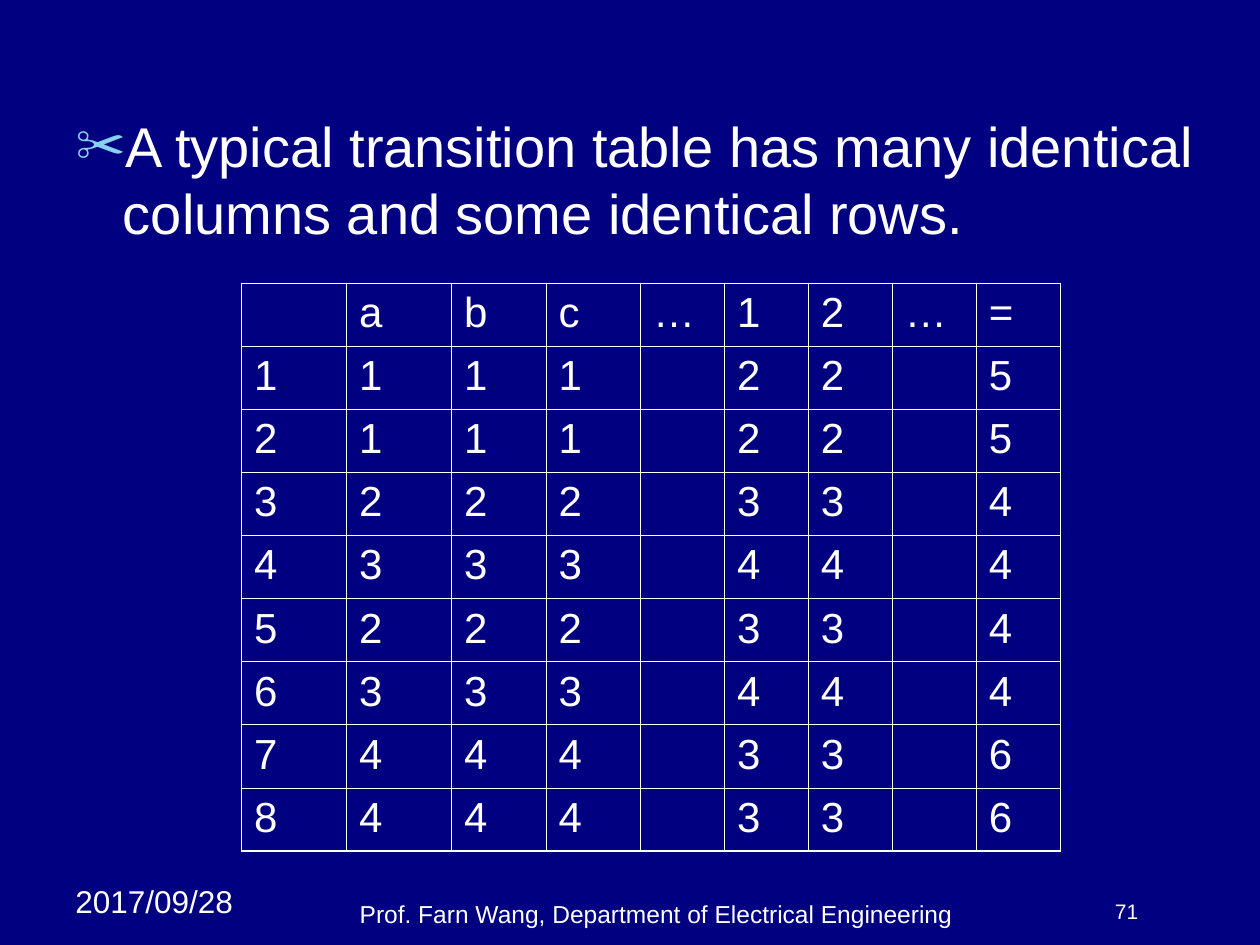
from lxml import etree
from pptx import Presentation
from pptx.dml.color import RGBColor
from pptx.enum import text as t
from pptx.oxml import ns
from pptx.util import Pt

NAVY = RGBColor(0x00, 0x00, 0x80)
WHITE = RGBColor(0xFF, 0xFF, 0xFF)
SKY = RGBColor(0x86, 0xD1, 0xEC)
FONT = "Arial"
INNER_LINE, OUTER_LINE = Pt(0.45), Pt(1.08)

COLUMN_WIDTHS = [60, 60, 54, 54] + [48] * 5
ROW_HEIGHT = 36
HEADINGS = ["", "a", "b", "c", "…", "1", "2", "…", "="]
# Next state for each state: on any letter, on any digit, on "="
TRANSITIONS = [(1, 2, 5), (1, 2, 5), (2, 3, 4), (3, 4, 4),
               (2, 3, 4), (3, 4, 4), (4, 3, 6), (4, 3, 6)]


def write(frame, content, size, align=t.PP_ALIGN.LEFT, anchor=t.MSO_ANCHOR.TOP):
    frame.word_wrap = True
    frame.vertical_anchor = anchor
    paragraph = frame.paragraphs[0]
    paragraph.alignment = align
    paragraph.space_before = Pt(0)
    run = paragraph.add_run()
    run.text = content
    run.font.size = Pt(size)
    run.font.name = FONT
    run.font.color.rgb = WHITE


def add_label(slide, content, left, top, width, height, size, **layout):
    label = slide.shapes.add_textbox(Pt(left), Pt(top), Pt(width), Pt(height))
    write(label.text_frame, content, size, **layout)


def add_xml(parent, tag, **attributes):
    return etree.SubElement(parent, ns.qn(tag), attributes)


def add_scissors_bullet(paragraph, indent):
    properties = paragraph._p.get_or_add_pPr()
    properties.set("marL", str(Pt(indent)))
    properties.set("indent", str(-Pt(indent)))
    add_xml(add_xml(properties, "a:buClr"), "a:srgbClr", val=str(SKY))
    add_xml(properties, "a:buSzPct", val="90000")
    add_xml(properties, "a:buFont", typeface=FONT)
    add_xml(properties, "a:buChar", char="✂")


def fill_body(slide):
    body = slide.placeholders[1]
    body.left, body.top, body.width, body.height = Pt(36), Pt(60), Pt(654), Pt(450)
    frame = body.text_frame
    frame.auto_size = t.MSO_AUTO_SIZE.NONE
    add_scissors_bullet(frame.paragraphs[0], 27)
    write(frame, "A typical transition table has many identical columns "
                 "and some identical rows.", 32)


def draw_borders(cell, outer_sides):
    """Outline a cell, heavier on the sides (L, R, T, B) at the table's edge."""
    properties = cell._tc.get_or_add_tcPr()
    for side in "LRTB":
        width = OUTER_LINE if side in outer_sides else INNER_LINE
        line = add_xml(properties, f"a:ln{side}", w=str(width))
        add_xml(add_xml(line, "a:solidFill"), "a:srgbClr", val=str(WHITE))


def add_transition_table(slide):
    rows = [HEADINGS]
    for state, (letter, digit, equals) in enumerate(TRANSITIONS, start=1):
        rows.append([state] + [letter] * 3 + ["", digit, digit, "", equals])
    last_row, last_column = len(rows) - 1, len(HEADINGS) - 1

    frame = slide.shapes.add_table(len(rows), len(HEADINGS), Pt(138), Pt(162),
                                   Pt(sum(COLUMN_WIDTHS)), Pt(ROW_HEIGHT * len(rows)))
    table = frame.table
    table.first_row = table.horz_banding = False
    for column, width in zip(table.columns, COLUMN_WIDTHS):
        column.width = Pt(width)
    for r, values in enumerate(rows):
        table.rows[r].height = Pt(ROW_HEIGHT)
        for c, value in enumerate(values):
            cell = table.cell(r, c)
            edges = {"L": c == 0, "R": c == last_column, "T": r == 0, "B": r == last_row}
            draw_borders(cell, [side for side, outer in edges.items() if outer])
            cell.fill.background()
            if value != "":
                write(cell.text_frame, str(value), 24)


def main():
    deck = Presentation()
    deck.slide_width, deck.slide_height = Pt(720), Pt(540)
    slide = deck.slides.add_slide(deck.slide_layouts[1])
    slide.background.fill.solid()
    slide.background.fill.fore_color.rgb = NAVY
    empty_title = slide.shapes.title._element
    empty_title.getparent().remove(empty_title)

    add_label(slide, "2017/09/28", 36, 500.4, 113.76, 28.8, 18)
    add_label(slide, "Prof. Farn Wang, Department of Electrical Engineering",
              132, 510, 486, 24, 14,
              align=t.PP_ALIGN.CENTER, anchor=t.MSO_ANCHOR.BOTTOM)
    add_label(slide, "71", 630, 510, 48, 24, 12)
    fill_body(slide)
    add_transition_table(slide)
    deck.save("out.pptx")


if __name__ == "__main__":
    main()
